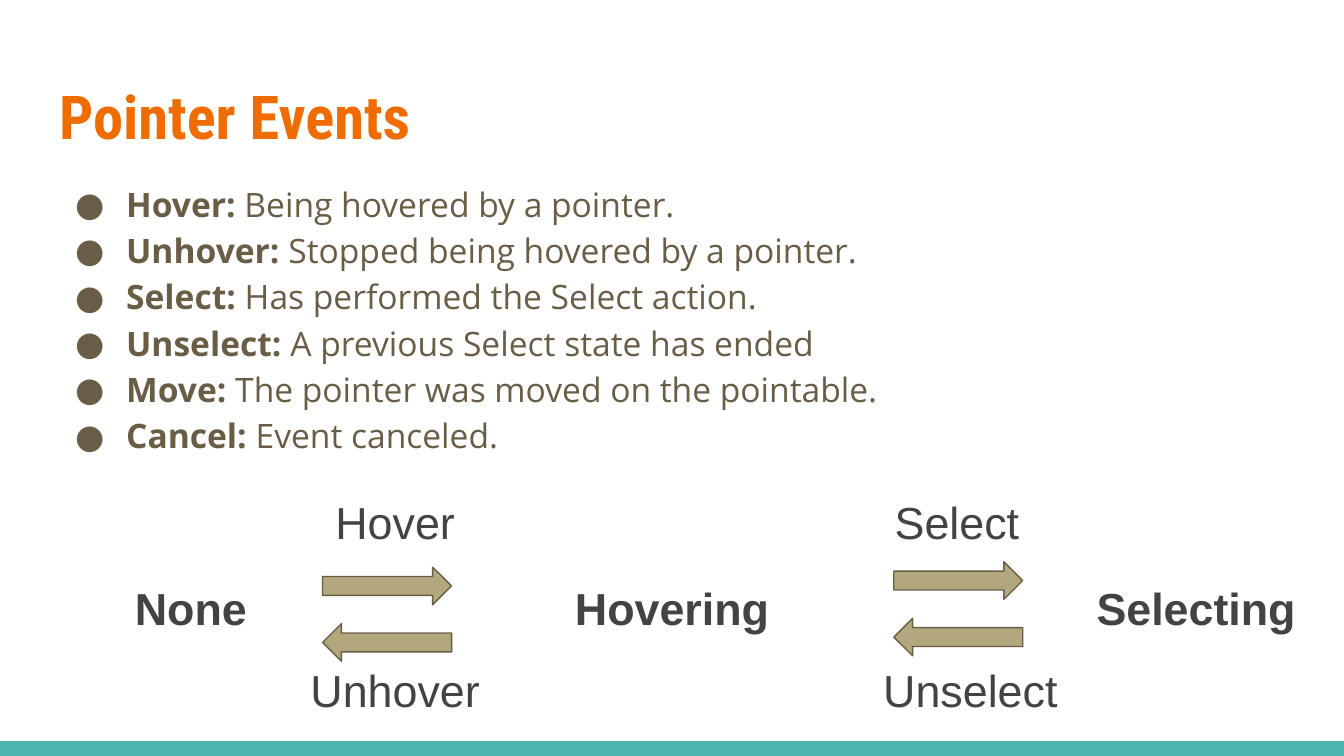
from lxml import etree
from pptx import Presentation
from pptx.dml.color import RGBColor
from pptx.enum.shapes import MSO_SHAPE
from pptx.enum.text import MSO_ANCHOR, MSO_AUTO_SIZE, PP_ALIGN
from pptx.oxml.ns import qn
from pptx.util import Inches, Pt

RECTANGLE, RIGHT_ARROW = MSO_SHAPE.RECTANGLE, MSO_SHAPE.RIGHT_ARROW
LEFT, CENTER = PP_ALIGN.LEFT, PP_ALIGN.CENTER
TOP, NO_FIT = MSO_ANCHOR.TOP, MSO_AUTO_SIZE.NONE

ORANGE = RGBColor(0xEF, 0x6C, 0x00)
BROWN = RGBColor(0x69, 0x5D, 0x46)
SAND = RGBColor(0xB3, 0xA7, 0x7D)
GRAY = RGBColor(0x43, 0x43, 0x43)
TEAL = RGBColor(0x4D, 0xB6, 0xAC)

WIDTH = 10
HEIGHT = WIDTH * 9 / 16
BAND_HEIGHT = 0.11
MARGIN = 0.34
CONTENT_WIDTH = WIDTH - 2 * MARGIN
LABEL_WIDTH, LABEL_HEIGHT = 1.94, 0.61
ARROW_WIDTH, ARROW_HEIGHT, ARROW_STEP = 0.96, 0.28, 0.42
FORWARD_ROW, STATE_ROW, BACK_ROW = 3.58, 4.22, 4.83

EVENTS = [
    ("Hover:", " Being hovered by a pointer."),
    ("Unhover:", " Stopped being hovered by a pointer."),
    ("Select:", " Has performed the Select action."),
    ("Unselect:", " A previous Select state has ended"),
    ("Move:", " The pointer was moved on the pointable."),
    ("Cancel: ", "Event canceled."),
]
# State name, left, width
STATES = [
    ("None", 0.45, LABEL_WIDTH),
    ("Hovering", 3.36, 3.28),
    ("Selecting", 7.93, LABEL_WIDTH),
]
# Forward label, its left, back label, its left, left and top of the arrow pair
TRANSITIONS = [
    ("Hover", 1.97, "Unhover", 1.97, 2.4, 4.22),
    ("Select", 6.15, "Unselect", 6.25, 6.65, 4.18),
]


def set_frame(frame):
    frame.word_wrap = True
    frame.auto_size = NO_FIT
    frame.vertical_anchor = TOP
    frame.margin_left = frame.margin_right = Inches(0.1)
    frame.margin_top = frame.margin_bottom = Inches(0.1)


def add_text(paragraph, text, *, font="Arial", size=24, color=GRAY,
             bold=False, align=CENTER):
    paragraph.alignment = align
    run = paragraph.add_run()
    run.text = text
    run.font.name = font
    run.font.size = Pt(size)
    run.font.bold = bold
    run.font.color.rgb = color


def add_frame(slide, left, top, width, height):
    box = slide.shapes.add_textbox(
        Inches(left), Inches(top), Inches(width), Inches(height))
    set_frame(box.text_frame)
    return box.text_frame


def add_label(slide, text, left, top, width=LABEL_WIDTH, bold=False):
    frame = add_frame(slide, left, top, width, LABEL_HEIGHT)
    add_text(frame.paragraphs[0], text, bold=bold)


def add_block(slide, kind, left, top, width, height, fill, line=None):
    block = slide.shapes.add_shape(
        kind, Inches(left), Inches(top), Inches(width), Inches(height))
    block.shadow.inherit = False
    block.fill.solid()
    block.fill.fore_color.rgb = fill
    if line is None:
        block.line.fill.background()
    else:
        block.line.color.rgb = line
        block.line.width = Pt(0.75)
    return block


def set_bullet(paragraph):
    properties = paragraph._p.get_or_add_pPr()
    properties.set("marL", str(Inches(0.5)))
    properties.set("indent", str(Inches(-0.38)))
    color = etree.SubElement(properties, qn("a:buClr"))
    etree.SubElement(color, qn("a:srgbClr"), val=str(BROWN))
    etree.SubElement(properties, qn("a:buSzPts"), val="1800")
    etree.SubElement(properties, qn("a:buFont"), typeface="Open Sans")
    etree.SubElement(properties, qn("a:buChar"), char="●")


def add_title(slide, text):
    title = slide.shapes.title
    title.left, title.top = Inches(MARGIN), Inches(0.49)
    title.width, title.height = Inches(CONTENT_WIDTH), Inches(0.77)
    set_frame(title.text_frame)
    add_text(title.text_frame.paragraphs[0], text, font="Roboto Condensed",
             size=32.4, color=ORANGE, bold=True, align=LEFT)


def add_events(slide):
    frame = add_frame(slide, MARGIN, 1.22, CONTENT_WIDTH, 3.61)
    for index, (event, meaning) in enumerate(EVENTS):
        paragraph = frame.add_paragraph() if index else frame.paragraphs[0]
        set_bullet(paragraph)
        paragraph.line_spacing = 1.15
        for text, bold in ((event, True), (meaning, False)):
            add_text(paragraph, text, font="Open Sans", size=18, color=BROWN,
                     bold=bold, align=LEFT)


def add_transition(slide, forward, forward_left, back, back_left, left, top):
    add_label(slide, forward, forward_left, FORWARD_ROW)
    add_label(slide, back, back_left, BACK_ROW)
    for step, rotation in enumerate((0, 180)):
        arrow = add_block(slide, RIGHT_ARROW, left, top + step * ARROW_STEP,
                          ARROW_WIDTH, ARROW_HEIGHT, SAND, BROWN)
        arrow.rotation = rotation


def main():
    deck = Presentation()
    deck.slide_width, deck.slide_height = Inches(WIDTH), Inches(HEIGHT)
    slide = deck.slides.add_slide(deck.slide_layouts[5])

    # Bottom band
    add_block(slide, RECTANGLE, 0, HEIGHT - BAND_HEIGHT, WIDTH, BAND_HEIGHT,
              TEAL)

    # Title and event list
    add_title(slide, "Pointer Events")
    add_events(slide)

    # State diagram
    for state, left, width in STATES:
        add_label(slide, state, left, STATE_ROW, width, bold=True)
    for transition in TRANSITIONS:
        add_transition(slide, *transition)

    deck.save("out.pptx")


if __name__ == "__main__":
    main()
